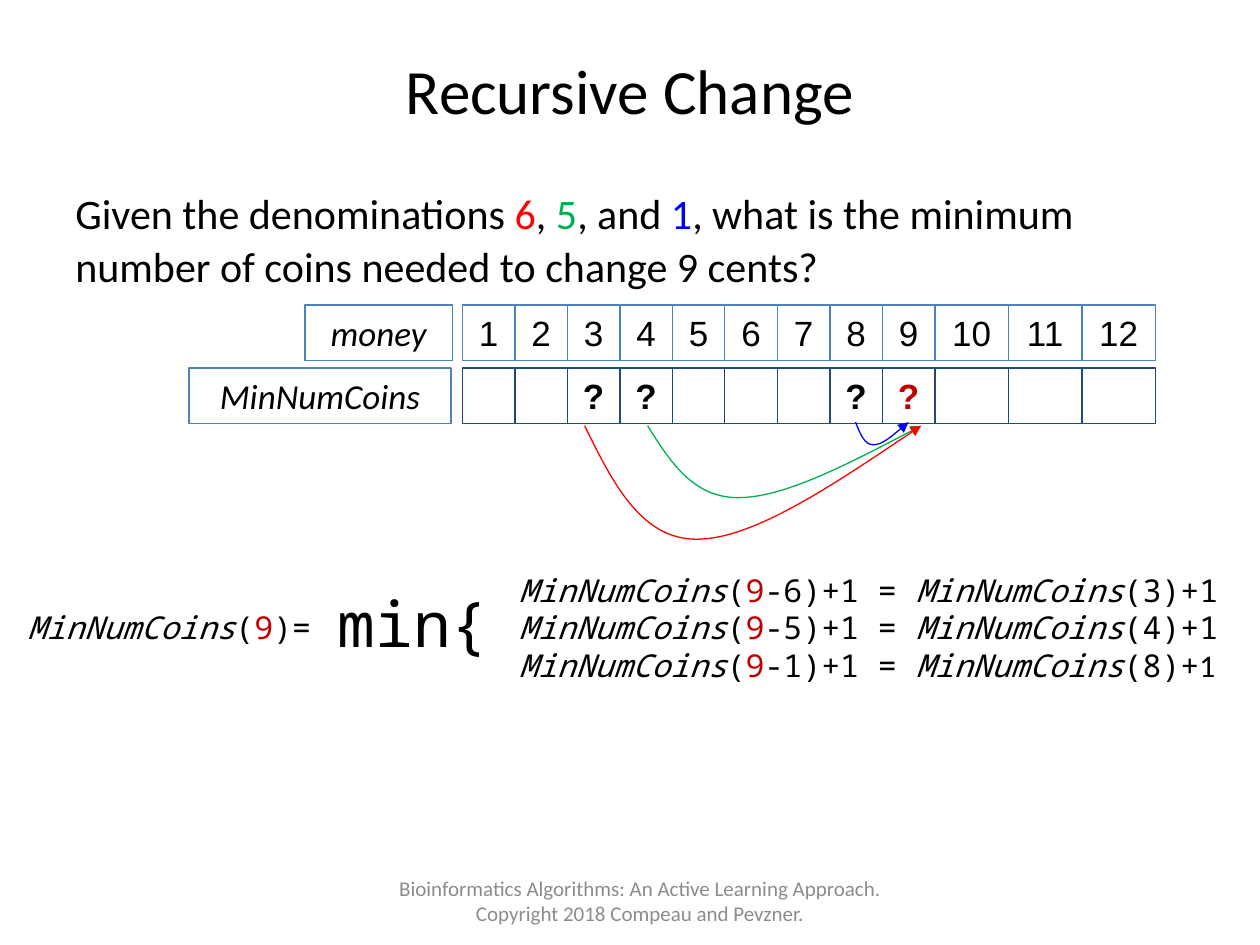
"""Build the Recursive Change slide about the coin-change recurrence."""
import dataclasses

import lxml.etree
import pptx
import pptx.dml.color
import pptx.enum.shapes
import pptx.enum.text
import pptx.oxml.ns
import pptx.util

Inches = pptx.util.Inches
Pt = pptx.util.Pt
qn = pptx.oxml.ns.qn
ALIGN = pptx.enum.text.PP_ALIGN
ANCHOR = pptx.enum.text.MSO_ANCHOR


@dataclasses.dataclass(frozen=True)
class Theme:
    """Fonts, colours and type sizes of the slide."""
    sans: str = "Calibri"
    cell: str = "Arial"
    mono: str = "Noto Sans Mono"
    black: str = "000000"
    six: str = "FF0000"
    five: str = "00B050"
    one: str = "0000FF"
    target: str = "C00000"
    money_line: str = "4F81BD"
    coins_line: str = "1F497D"
    muted: str = "8C8C8C"
    title_size: int = 36
    question_size: int = 24
    cell_size: int = 20
    formula_size: int = 18
    footer_size: int = 12
    line_width: float = 0.75


THEME = Theme()


def rgb(value):
    """Return a colour from its hex value."""
    return pptx.dml.color.RGBColor.from_string(value)


def add_run(paragraph, text, font, size, color=THEME.black, bold=False, italic=False):
    """Append one formatted run to a paragraph."""
    run = paragraph.add_run()
    run.text = text
    run.font.name = font
    run.font.size = Pt(size)
    run.font.color.rgb = rgb(color)
    run.font.bold = bold
    run.font.italic = italic


def add_text(slide, left, top, width, height, align=ALIGN.LEFT, anchor=ANCHOR.TOP):
    """Add a wrapping text box and return its frame."""
    box = slide.shapes.add_textbox(Inches(left), Inches(top), Inches(width), Inches(height))
    frame = box.text_frame
    frame.word_wrap = True
    frame.vertical_anchor = anchor
    frame.paragraphs[0].alignment = align
    return frame


def outline(shape, color):
    """Give a shape a thin line without fill or shadow."""
    shape.shadow.inherit = False
    shape.fill.background()
    shape.line.color.rgb = rgb(color)
    shape.line.width = Pt(THEME.line_width)


def add_cell(slide, left, top, width, line, text="", font=THEME.cell, **style):
    """Add one outlined cell of the money grid."""
    cell = slide.shapes.add_shape(pptx.enum.shapes.MSO_SHAPE.RECTANGLE,
                                  Inches(left), Inches(top), Inches(width), Inches(0.44))
    outline(cell, line)
    frame = cell.text_frame
    frame.margin_left = frame.margin_right = 0
    frame.vertical_anchor = ANCHOR.MIDDLE
    frame.paragraphs[0].alignment = ALIGN.CENTER
    if text:
        add_run(frame.paragraphs[0], text, font, THEME.cell_size, **style)


def add_grid(slide):
    """Add the row of amounts above the row of minimum coin counts."""
    money_top, coins_top = 2.42, 2.92
    add_cell(slide, 2.42, money_top, 1.17, THEME.money_line, "money", THEME.sans, italic=True)
    add_cell(slide, 1.5, coins_top, 2.08, THEME.money_line, "MinNumCoins", THEME.sans, italic=True)
    unknown = {3: THEME.black, 4: THEME.black, 8: THEME.black, 9: THEME.target}
    left = 3.67
    for amount in range(1, 13):
        width = 5 / 12 if amount < 10 else 7 / 12
        add_cell(slide, left, money_top, width, THEME.money_line, str(amount))
        add_cell(slide, left, coins_top, width, THEME.coins_line,
                 "?" if amount in unknown else "",
                 color=unknown.get(amount, THEME.black), bold=True)
        left += width


def add_arc(slide, target, low, source, color):
    """Add a sagging curve from source through its low point to an arrow at target."""
    (target_x, top), (low_x, bottom), source_x = target, low, source
    middle = (top + bottom) / 2
    reach, back = low_x - target_x, source_x - low_x
    points = [(target_x + reach * 0.375, middle), (target_x + reach * 0.75, bottom), low,
              (low_x + back * 0.5, bottom), (low_x + back * 0.75, middle), (source_x, top)]
    builder = slide.shapes.build_freeform(Inches(target_x), Inches(top))
    builder.add_line_segments([(Inches(x), Inches(y)) for x, y in points], close=False)
    arc = builder.convert_to_shape()
    outline(arc, color)
    segments = list(arc.element.iter(qn("a:lnTo")))
    outline_path = segments[0].getparent()
    for start in (0, 3):
        curve = lxml.etree.SubElement(outline_path, qn("a:cubicBezTo"))
        for segment in segments[start:start + 3]:
            curve.append(segment[0])
            outline_path.remove(segment)
    lxml.etree.SubElement(arc.line._get_or_add_ln(), qn("a:headEnd"), type="triangle")


def add_call(paragraph, argument, target=""):
    """Write one MinNumCoins call, with the target amount highlighted."""
    add_run(paragraph, "MinNumCoins", THEME.mono, THEME.formula_size, italic=True)
    add_run(paragraph, "(", THEME.mono, THEME.formula_size)
    if target:
        add_run(paragraph, target, THEME.mono, THEME.formula_size, THEME.target)
    add_run(paragraph, argument, THEME.mono, THEME.formula_size)


def add_recurrence(slide):
    """Add the three-way minimum for nine cents."""
    frame = add_text(slide, 0.12, 4.48, 9.76, 1)
    for index, coin in enumerate((6, 5, 1)):
        paragraph = frame.paragraphs[0] if index == 0 else frame.add_paragraph()
        tabs = lxml.etree.SubElement(paragraph._p.get_or_add_pPr(), qn("a:tabLst"))
        lxml.etree.SubElement(tabs, qn("a:tab"), pos=str(Inches(3.9)), algn="l")
        if coin == 5:
            add_call(paragraph, ")=", "9")
        add_run(paragraph, "\t", THEME.mono, THEME.formula_size)
        add_call(paragraph, f"-{coin})+1 = ", "9")
        add_call(paragraph, f"{9 - coin})+")
        add_run(paragraph, "1", THEME.sans if coin == 1 else THEME.mono, THEME.formula_size)
    minimum = add_text(slide, 2.58, 4.59, 1.9, 0.71)
    add_run(minimum.paragraphs[0], "min{", THEME.mono, THEME.title_size)


def add_question(slide):
    """Add the question with each denomination in its colour."""
    question = add_text(slide, 0.5, 1.42, 9, 0.95).paragraphs[0]
    question.line_spacing = 1.05
    for text, color in (("Given the denominations ", THEME.black), ("6", THEME.six),
                        (", ", THEME.black), ("5", THEME.five),
                        (", and ", THEME.black), ("1", THEME.one),
                        (", what is the minimum number of coins needed to change 9 cents?",
                         THEME.black)):
        add_run(question, text, THEME.sans, THEME.question_size, color)


def main():
    """Assemble and save the slide."""
    deck = pptx.Presentation()
    deck.slide_width, deck.slide_height = Inches(10), Inches(7.5)
    slide = deck.slides.add_slide(deck.slide_layouts[6])
    title = add_text(slide, 0.5, 0.08, 9, 1.25, ALIGN.CENTER, ANCHOR.MIDDLE)
    add_run(title.paragraphs[0], "Recursive Change", THEME.sans, THEME.title_size)
    add_question(slide)
    add_grid(slide)
    add_recurrence(slide)
    add_arc(slide, (7.21, 3.35), (6.93, 3.53), 6.79, THEME.one)
    add_arc(slide, (7.31, 3.38), (5.86, 3.95), 5.14, THEME.five)
    add_arc(slide, (7.31, 3.38), (5.53, 4.28), 4.64, THEME.six)
    footer = add_text(slide, 2.83, 6.95, 4.5, 0.4, ALIGN.CENTER, ANCHOR.MIDDLE)
    add_run(footer.paragraphs[0],
            "Bioinformatics Algorithms: An Active Learning Approach. "
            "Copyright 2018 Compeau and Pevzner.",
            THEME.sans, THEME.footer_size, THEME.muted)
    deck.save("out.pptx")


if __name__ == "__main__":
    main()
